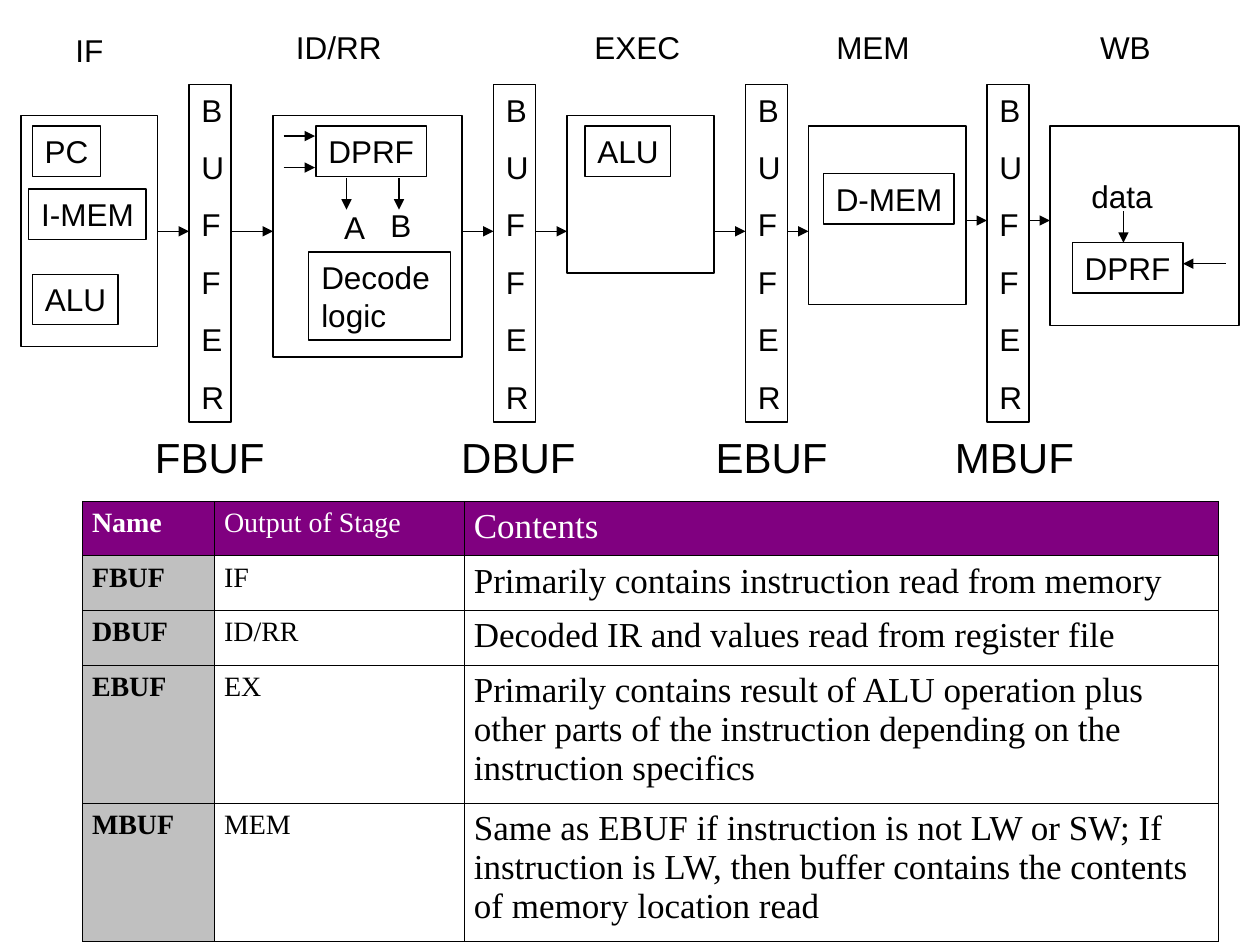
"""Build the pipeline buffer slide: stage diagram above a table of buffer contents."""
from lxml.etree import SubElement
from pptx import Presentation
from pptx.dml.color import RGBColor
from pptx.enum.shapes import MSO_CONNECTOR as Connector, MSO_SHAPE as Shape
from pptx.enum.text import MSO_ANCHOR as Anchor, MSO_AUTO_SIZE as AutoSize, PP_ALIGN as Align
from pptx.oxml.ns import qn
from pptx.util import Pt

COLORS = {"ink": "000000", "paper": "FFFFFF", "header": "800080", "names": "C0C0C0"}
RGB = {name: RGBColor.from_string(code) for name, code in COLORS.items()}
LINE_WIDTH = 0.74


def write(frame, lines, font, space=0):
    for index, line in enumerate(lines):
        para = frame.paragraphs[0] if index == 0 else frame.add_paragraph()
        para.alignment = Align.LEFT
        para.space_before = Pt(space)
        span = para.add_run()
        span.text = line
        span.font.color.rgb = RGB[font["color"]]
        for key in ("name", "size", "bold"):
            setattr(span.font, key, font[key])


def add_box(place, lines=(), size=18, outlined=True, space=0):
    box = page.shapes.add_shape(Shape.RECTANGLE, *map(Pt, place))
    box.shadow.inherit = False
    box.fill.background()
    if outlined:
        box.line.color.rgb = RGB["ink"]
        box.line.width = Pt(LINE_WIDTH)
    else:
        box.line.fill.background()
    if lines:
        layout = {"word_wrap": True, "auto_size": AutoSize.NONE,
                  "vertical_anchor": Anchor.TOP, "margin_right": Pt(0)}
        for key, value in layout.items():
            setattr(box.text_frame, key, value)
        font = {"name": "Arial", "size": Pt(size), "bold": False, "color": "ink"}
        write(box.text_frame, lines, font, space)


deck = Presentation()
deck.slide_width, deck.slide_height = Pt(720), Pt(540)
page = deck.slides.add_slide(deck.slide_layouts[6])

stages = [
    (12, 66, 78, 132), (156, 66, 108, 138), (324, 66, 84, 90),
    (462, 72, 90, 102), (600, 72, 108, 114),
]
for stage in stages:
    add_box(stage)

units = [
    (18.5, 72, 39, "PC"), (16.5, 108, 67, "I-MEM"), (18.5, 156.7, 49, "ALU"),
    (180.5, 72, 63.3, "DPRF"), (334.3, 72, 49, "ALU"),
    (470.5, 99.2, 74.7, "D-MEM"), (612.7, 138.7, 63.3, "DPRF"),
]
for left, top, width, name in units:
    add_box((left, top, width, 28.8), [name])
add_box((176.5, 144, 81, 50.4), ["Decode ", "logic"])

labels = [
    (36, 14, 30, "IF"), (162, 12.5, 63.3, "ID/RR"), (332.6, 12.5, 63.3, "EXEC"),
    (470.8, 12.5, 56, "MEM"), (621.5, 12.5, 43, "WB"),
    (189.5, 115.5, 26, "A"), (216, 114, 26, "B"), (616.5, 97.5, 49, "data"),
]
for left, top, width, name in labels:
    add_box((left, top, width, 28.8), [name], outlined=False)

buffers = [(108, 81.5, 77, "FBUF"), (282, 256.5, 80, "DBUF"),
           (426, 401.8, 78.5, "EBUF"), (564, 538.6, 82, "MBUF")]
for left, name_left, name_width, name in buffers:
    add_box((left, 48.2, 24, 193), list("BUFFER"), space=11.2)
    add_box((name_left, 242.8, name_width, 36), [name], size=24, outlined=False)

arrows = [
    (162, 77.8, 180, 77.8), (162, 95.8, 180, 95.8),
    (198, 101.8, 198, 119.8), (228, 101.8, 228, 119.8),
    (642, 120.7, 642, 138.7), (700.5, 150.7, 676, 150.7),
]
for stage, following, buffer in zip(stages, stages[1:], buffers):
    level = 126 if stage[0] == 462 else 132.2
    arrows.append((stage[0] + stage[2], level, buffer[0], level))
    arrows.append((buffer[0] + 24, level, following[0], level))
for ends in arrows:
    arrow = page.shapes.add_connector(Connector.STRAIGHT, *map(Pt, ends))
    arrow.line.color.rgb = RGB["ink"]
    arrow.line.width = Pt(LINE_WIDTH)
    SubElement(arrow.line._get_or_add_ln(), qn("a:tailEnd"), type="triangle")
    SubElement(arrow._element.spPr, qn("a:effectLst"))

rows = [
    ("Name", "Output of Stage", "Contents"),
    ("FBUF", "IF", "Primarily contains instruction read from memory"),
    ("DBUF", "ID/RR", "Decoded IR and values read from register file"),
    ("EBUF", "EX", "Primarily contains result of ALU operation plus other parts "
     "of the instruction depending on the instruction specifics"),
    ("MBUF", "MEM", "Same as EBUF if instruction is not LW or SW; If instruction is LW, "
     "then buffer contains the contents of memory location read"),
]
widths = [75.5, 142.7, 430.6]
heights = [31.2, 31.2, 31.2, 79, 79]
place = (47.2, 286.4, sum(widths), sum(heights))
table = page.shapes.add_table(len(rows), len(widths), *map(Pt, place)).table
for column, width in zip(table.columns, widths):
    column.width = Pt(width)
for row_index, (row, height) in enumerate(zip(rows, heights)):
    table.rows[row_index].height = Pt(height)
    for column_index, text in enumerate(row):
        cell = table.cell(row_index, column_index)
        cell.margin_left = cell.margin_right = Pt(5.4)
        cell.margin_top = cell.margin_bottom = Pt(3.6)
        font = {"name": "Times New Roman", "size": Pt(20 if column_index == 2 else 16),
                "bold": column_index == 0, "color": "ink" if row_index else "paper"}
        write(cell.text_frame, [text], font)
        props = cell._tc.get_or_add_tcPr()
        for side in ("a:lnL", "a:lnR", "a:lnT", "a:lnB"):
            border = SubElement(props, qn(side), w=str(Pt(0.45)))
            paint = SubElement(border, qn("a:solidFill"))
            SubElement(paint, qn("a:srgbClr"), val=COLORS["ink"])
        if row_index == 0 or column_index == 0:
            cell.fill.solid()
            cell.fill.fore_color.rgb = RGB["names" if row_index else "header"]
        else:
            cell.fill.background()

deck.save("out.pptx")
